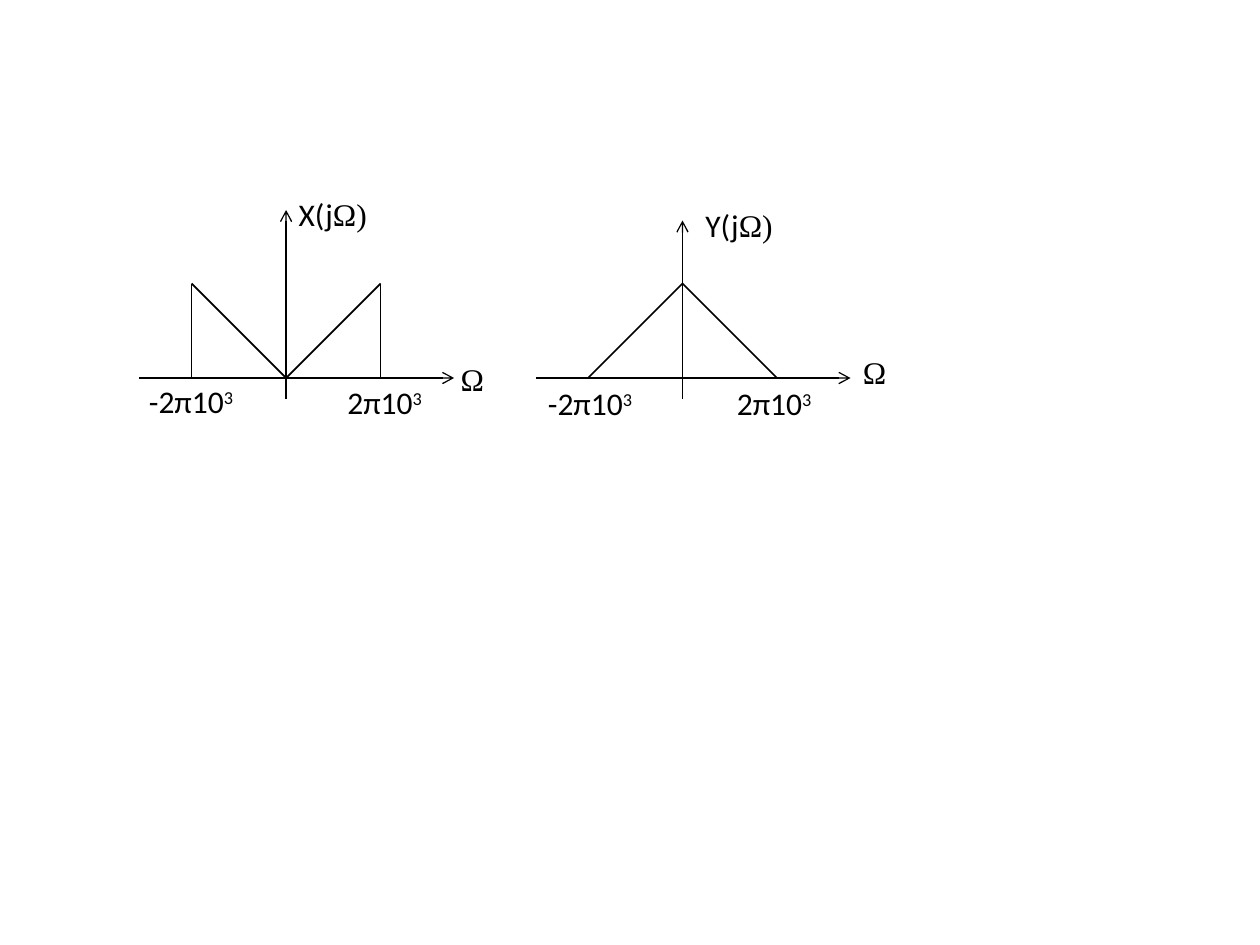
from lxml.etree import SubElement
from pptx import Presentation
from pptx.dml.color import RGBColor
from pptx.enum.shapes import MSO_CONNECTOR as Connector
from pptx.enum.text import MSO_AUTO_SIZE as AutoSize
from pptx.oxml.ns import qn
from pptx.util import Inches, Pt

THEME = {
    "ink": RGBColor(0, 0, 0),
    "paper": RGBColor(255, 255, 255),
    "latin": "Calibri",
    "greek": "Times New Roman",
    "text": Pt(18),
    "axis": Pt(0.75),
    "curve": Pt(1),
}

deck = Presentation()
deck.slide_width, deck.slide_height = Inches(10), Inches(7.5)
CELL = deck.slide_width / 120  # grid of 120 columns by 90 rows
BASE = 36  # row of the frequency axis
BAND = 9  # band limit and peak height, in cells
LABEL_HEIGHT = 4.8


def add_line(group, start, end, weight, arrow=False):
    """Join two (column, row) points; an arrow points at the start."""
    line = group.shapes.add_connector(
        Connector.STRAIGHT, *(round(CELL * place) for place in (*start, *end)))
    line.line.color.rgb = THEME["ink"]
    line.line.width = weight
    if arrow:
        SubElement(line.line._get_or_add_ln(), qn("a:headEnd"), type="arrow")
    SubElement(line._element.spPr, qn("a:effectLst"))


def add_label(group, column, row, width, parts):
    """Write (text, font, baseline) parts on one line."""
    box = group.shapes.add_textbox(
        *(round(CELL * place) for place in (column, row, width, LABEL_HEIGHT)))
    frame = box.text_frame
    frame.word_wrap = False
    frame.auto_size = AutoSize.SHAPE_TO_FIT_TEXT
    for text, font, baseline in parts:
        span = frame.paragraphs[0].add_run()
        span.text = text
        span.font.name = THEME[font]
        span.font.size = THEME["text"]
        span.font.color.rgb = THEME["ink"]
        if baseline:
            span.font._element.set("baseline", str(baseline))


page = deck.slides.add_slide(deck.slide_layouts[6])
page.background.fill.solid()
page.background.fill.fore_color.rgb = THEME["paper"]

# Curve points count from the origin, upwards; label places are (column, row).
spectra = [
    {"name": "X", "origin": 27.25, "top": 20,
     "curve": [(-BAND, 0), (-BAND, BAND), (0, 0), (BAND, BAND), (BAND, 0)],
     "title": (27.25, 18), "omega": (42.7, 33.7),
     "low": (13, 35.8), "high": (31.9, 35.9)},
    {"name": "Y", "origin": 65, "top": 21,
     "curve": [(-BAND, 0), (0, BAND), (BAND, 0)],
     "title": (66, 19), "omega": (81, 33),
     "low": (51, 36), "high": (69, 36)},
]

for spectrum in spectra:
    group = page.shapes.add_group_shape()
    origin = spectrum["origin"]
    add_line(group, (origin, spectrum["top"]), (origin, BASE + 2), THEME["axis"], arrow=True)
    add_line(group, (origin + 16, BASE), (origin - 14, BASE), THEME["axis"], arrow=True)

    points = [(origin + across, BASE - up) for across, up in spectrum["curve"]]
    for start, end in zip(points, points[1:]):
        add_line(group, start, end, THEME["curve"])

    add_label(group, *spectrum["omega"], 4.7, [("Ω", "greek", 0)])
    add_label(group, *spectrum["title"], 9,
              [(spectrum["name"] + "(j", "latin", 0), ("Ω)", "greek", 0)])
    for side, text, width in (("low", "-2π10", 10.7), ("high", "2π10", 9.7)):
        add_label(group, *spectrum[side], width,
                  [(text, "latin", 0), ("3", "latin", 30000)])

deck.save("out.pptx")
